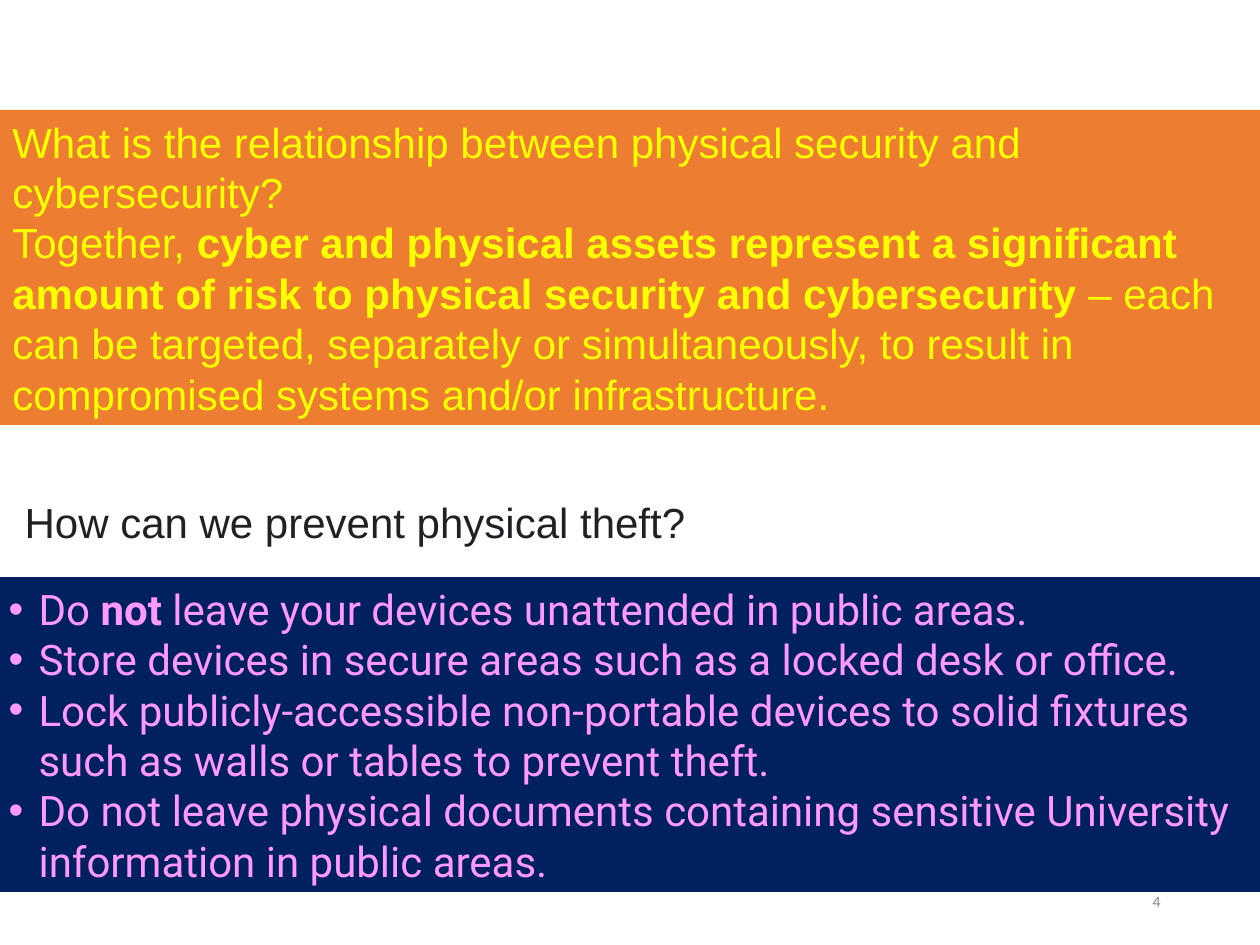
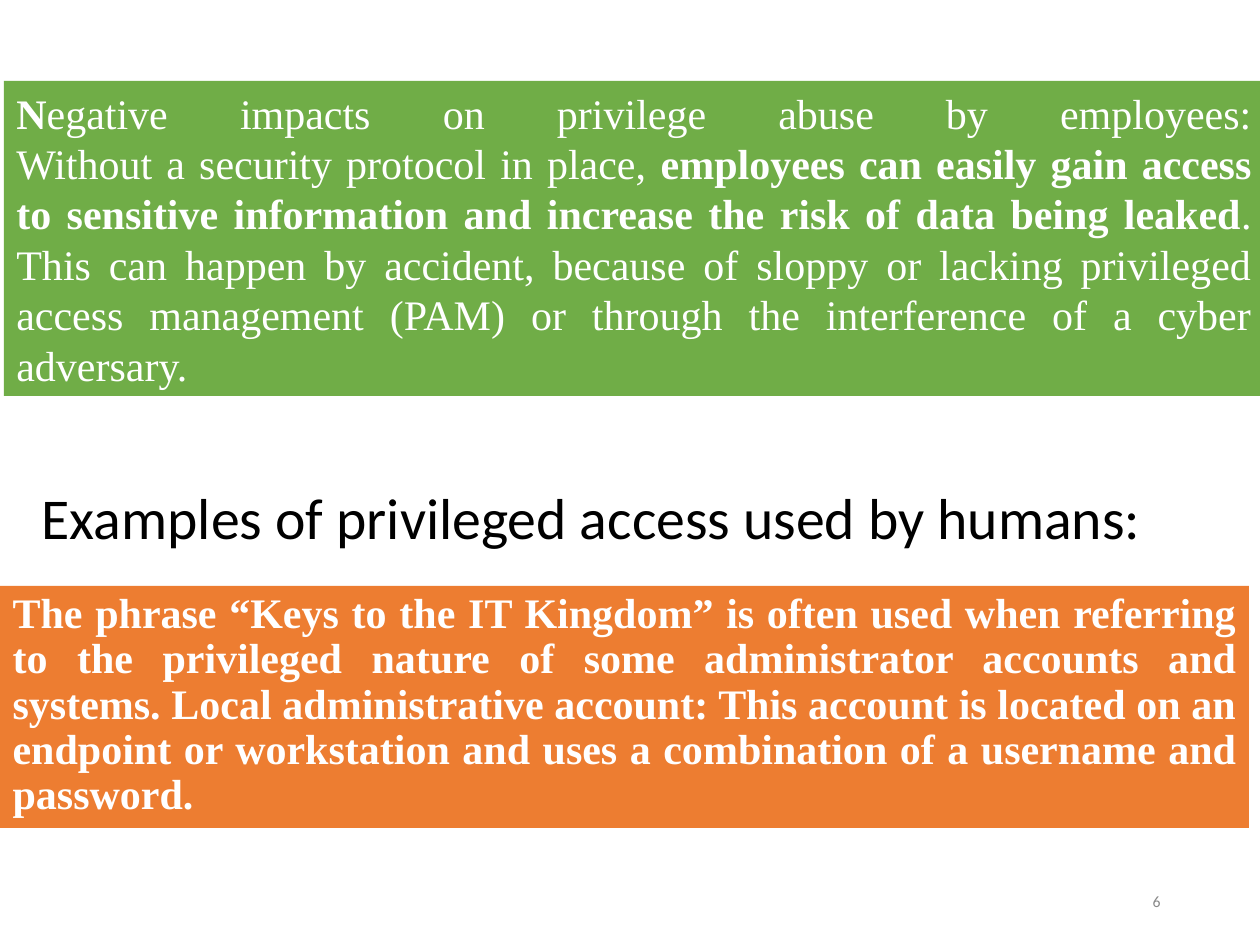
from pptx import Presentation
from pptx import util as u
from pptx.dml.color import RGBColor
from pptx.enum import shapes, text

PX_PER_INCH = 126
ORANGE, NAVY, GREEN = "ED7D31", "002060", "70AD47"
YELLOW, PINK, WHITE, BLACK = "FFFF00", "FF99FF", "FFFFFF", "000000"
CHARCOAL, GRAY = "202124", "898989"
LEFT, RIGHT, JUSTIFY = text.PP_ALIGN.LEFT, text.PP_ALIGN.RIGHT, text.PP_ALIGN.JUSTIFY
TOP, MIDDLE = text.MSO_ANCHOR.TOP, text.MSO_ANCHOR.MIDDLE


def px(length):
    return u.Inches(length / PX_PER_INCH)


def color(hex_string):
    return RGBColor.from_string(hex_string)


def place(element, box):
    element.left, element.top, element.width, element.height = map(px, box)


def fill(element, hex_string):
    element.fill.solid()
    element.fill.fore_color.rgb = color(hex_string)


def add_runs(paragraph, wording):
    for number, part in enumerate(wording.split("**")):
        for line_number, line in enumerate(part.split("\n")):
            if line_number:
                paragraph.add_line_break()
            if line:
                run = paragraph.add_run()
                run.text = line
                if number % 2:
                    run.font.bold = True


def write(element, lines, font, size, ink, align=LEFT, anchor=TOP, spacing=1.0, indent=0):
    frame = element.text_frame
    frame.word_wrap = True
    frame.auto_size = text.MSO_AUTO_SIZE.NONE
    frame.vertical_anchor = anchor
    for number, line in enumerate(lines):
        paragraph = frame.add_paragraph() if number else frame.paragraphs[0]
        paragraph.alignment = align
        paragraph.line_spacing = spacing
        paragraph.space_before = u.Pt(0)
        paragraph.font.name = font
        paragraph.font.size = u.Pt(size)
        paragraph.font.color.rgb = color(ink)
        if indent:
            properties = paragraph._p.get_or_add_pPr()
            properties.set("marL", str(px(indent)))
            properties.set("indent", str(-px(indent)))
        add_runs(paragraph, line)


def add_band(slide, box, hex_string, lines, font, ink, align=LEFT):
    band = slide.shapes.add_shape(shapes.MSO_SHAPE.RECTANGLE, *map(px, box))
    band.shadow.inherit = False
    band.line.fill.background()
    fill(band, hex_string)
    write(band, lines, font, 24, ink, align)


def set_heading(slide, box, wording, font, size, ink, spacing=1.0):
    heading = slide.shapes.title
    place(heading, box)
    write(heading, [wording], font, size, ink, spacing=spacing)


def set_body(slide, box, hex_string, lines, font, ink, **layout):
    body = slide.placeholders[1]
    place(body, box)
    fill(body, hex_string)
    write(body, lines, font, 24, ink, **layout)


def add_page_number(slide, number):
    footer = slide.shapes.add_textbox(*map(px, (890, 876, 283, 50)))
    write(footer, [number], "Calibri", 9, GRAY, RIGHT, MIDDLE)


def add_theft_slide(deck):
    slide = deck.slides.add_slide(deck.slide_layouts[1])
    add_page_number(slide, "4")
    add_band(slide, (0, 110, 1260, 315), ORANGE, [
        "What is the relationship between physical security and cybersecurity?",
        "Together, **cyber and physical assets represent a significant amount of risk "
        "to physical security and cybersecurity** – each can be targeted, separately "
        "or simultaneously, to result in compromised systems and/or infrastructure.",
    ], "Arial", YELLOW)
    set_heading(slide, (12, 490, 954, 63), "How can we prevent physical theft?",
                "Arial", 24, CHARCOAL)
    set_body(slide, (-4, 577, 1264, 315), NAVY, [
        "Do **not** leave your devices unattended in public areas.",
        "Store devices in secure areas such as a locked desk or office.",
        "Lock publicly-accessible non-portable devices to solid fixtures such as walls "
        "or tables to prevent theft.",
        "Do not leave physical documents containing sensitive University information "
        "in public areas.",
    ], "Roboto", PINK, indent=30)


def add_privilege_slide(deck):
    slide = deck.slides.add_slide(deck.slide_layouts[0])
    set_heading(slide, (29, 483, 1144, 84), "Examples of privileged access used by humans:",
                "Calibri", 33, BLACK, spacing=0.9)
    set_body(slide, (0, 586, 1249, 242), ORANGE, [
        "**The phrase “Keys to the IT Kingdom” is often used when referring to the "
        "privileged nature of some administrator accounts and systems. Local "
        "administrative account: This account is located on an endpoint or workstation "
        "and uses a combination of a username and password.**",
    ], "Times New Roman", WHITE, align=JUSTIFY, spacing=0.9)
    add_page_number(slide, "6")
    add_band(slide, (4, 81, 1260, 315), GREEN, [
        "**N**egative impacts on privilege abuse by employees:\n"
        "Without a security protocol in place, **employees can easily gain access to "
        "sensitive information and increase the risk of data being leaked**. This can "
        "happen by accident, because of sloppy or lacking privileged access management "
        "(PAM) or through the interference of a cyber adversary.",
    ], "Times New Roman", WHITE, JUSTIFY)


def main():
    deck = Presentation()
    deck.slide_width, deck.slide_height = px(1260), px(945)
    add_theft_slide(deck)
    add_privilege_slide(deck)
    deck.save("out.pptx")


if __name__ == "__main__":
    main()
